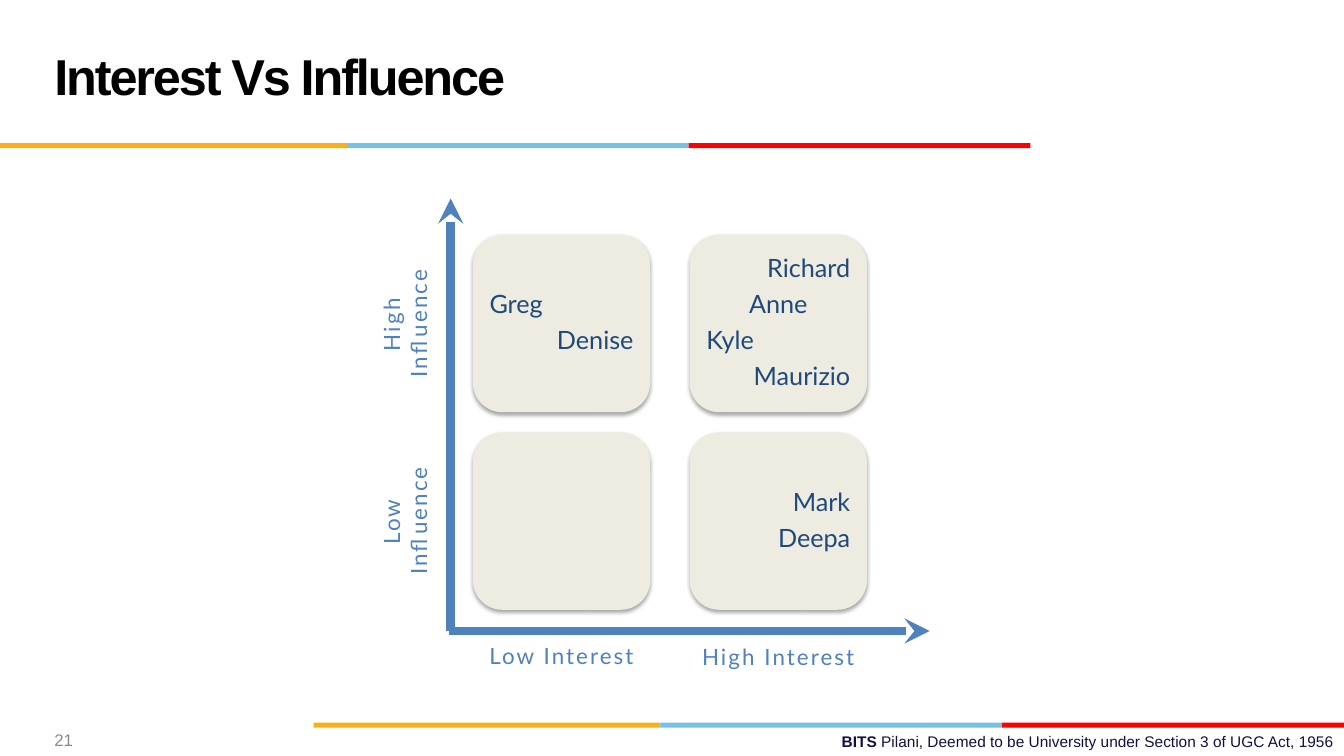
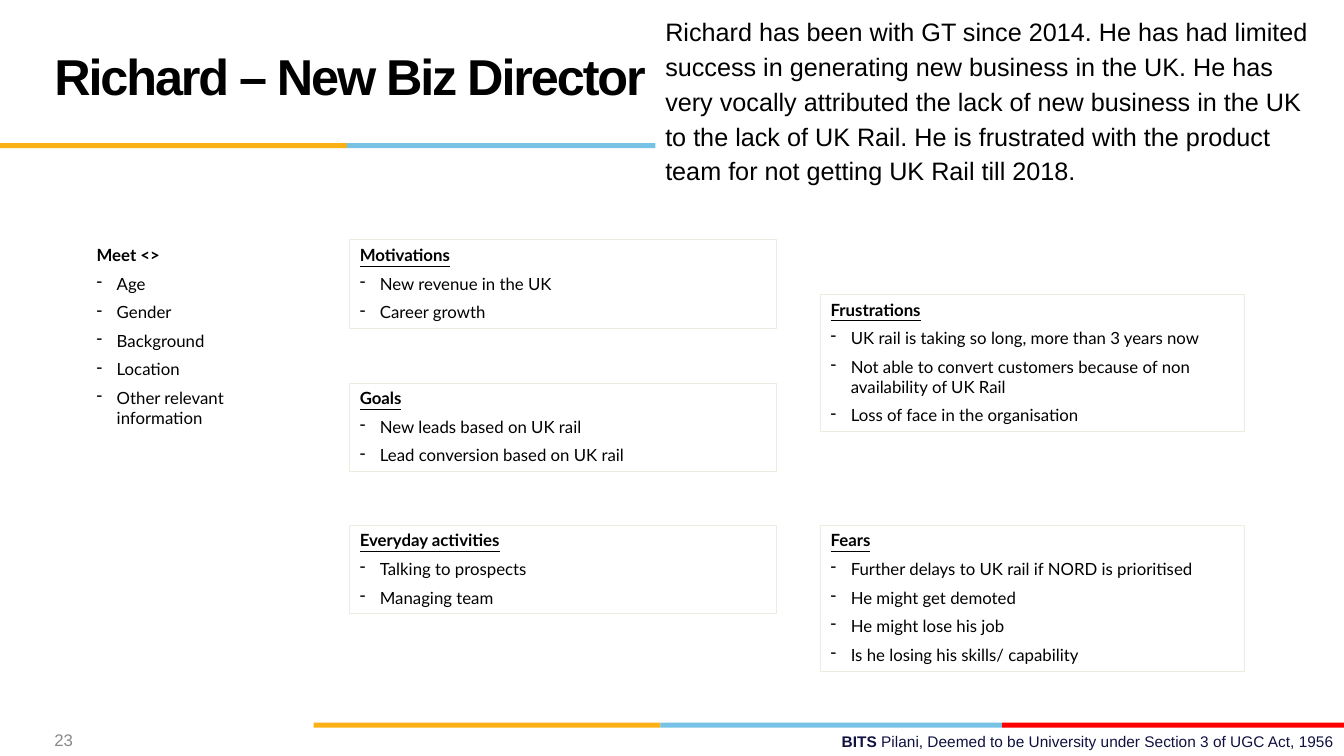
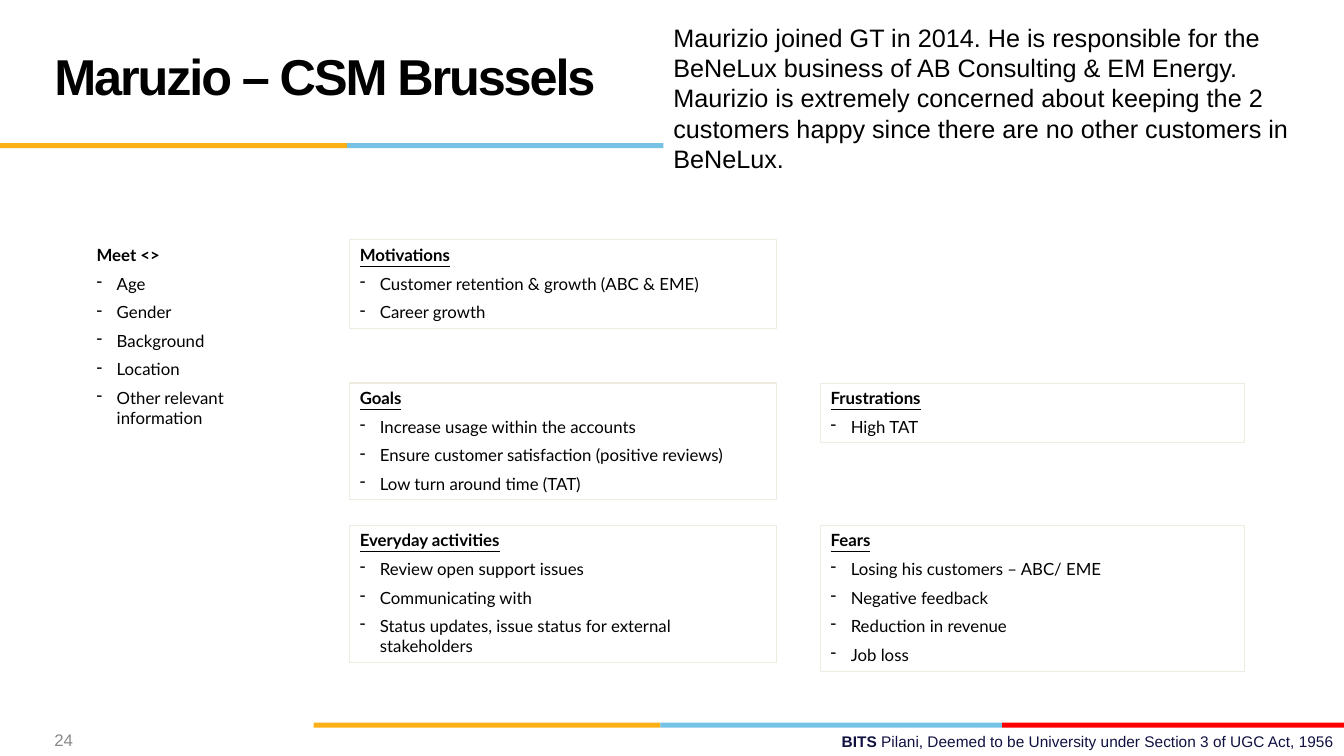
from lxml.etree import SubElement
from pptx import Presentation
from pptx.dml.color import RGBColor
from pptx.enum.shapes import MSO_CONNECTOR, MSO_SHAPE
from pptx.enum.text import MSO_ANCHOR, MSO_AUTO_SIZE, PP_ALIGN
from pptx.oxml.ns import qn
from pptx.util import Inches, Pt

rgb = RGBColor.from_string
LEFT, CENTER, RIGHT = PP_ALIGN.LEFT, PP_ALIGN.CENTER, PP_ALIGN.RIGHT
TOP, MIDDLE, BOTTOM = MSO_ANCHOR.TOP, MSO_ANCHOR.MIDDLE, MSO_ANCHOR.BOTTOM
RECT, ROUNDED = MSO_SHAPE.RECTANGLE, MSO_SHAPE.ROUNDED_RECTANGLE

# Shared look
BLACK, WHITE, GREY, NAVY = "000000", "FFFFFF", "898989", "101141"
BEIGE, AXIS_BLUE, NAME_BLUE = "EEECE1", "4F81BD", "1F497D"
BANDS = [(0, 3.44, "FCB017"), (3.44, 3.39, "76C2E5"), (6.83, 3.39, "FF0000")]

# Content
QUADRANTS = [
    (0, 0, [("Greg", LEFT), ("Denise", RIGHT)]),
    (1, 0, [("Richard", RIGHT), ("Anne", CENTER), ("Kyle", LEFT), ("Maurizio", RIGHT)]),
    (0, 1, []),
    (1, 1, [("Mark", RIGHT), ("Deepa", RIGHT)]),
]
AXIS_LABELS = [
    ("Low Interest", 4.69, 6.28, 1.76, 0, MIDDLE),
    ("High Interest", 6.84, 6.29, 1.76, 0, MIDDLE),
    ("Low Influence", 3.33, 4.95, 1.62, 270, BOTTOM),
    ("High Influence", 3.26, 2.99, 1.76, 270, BOTTOM),
]
MEET = ["Age", "Gender", "Background", "Location", "Other relevant information"]
COLUMNS = [(3.47, 4.23), (8.14, 4.2)]
# Each card: heading, column, top, height, items
RICHARD_CARDS = [
    ("Motivations", 0, 2.38, 0.88, ["New revenue in the UK", "Career growth"]),
    ("Goals", 0, 3.8, 0.88,
     ["New leads based on UK rail", "Lead conversion based on UK rail"]),
    ("Everyday activities", 0, 5.21, 0.88, ["Talking to prospects", "Managing team"]),
    ("Frustrations", 1, 2.92, 1.36,
     ["UK rail is taking so long, more than 3 years now",
      "Not able to convert customers because of non availability of UK Rail",
      "Loss of face in the organisation"]),
    ("Fears", 1, 5.21, 1.45,
     ["Further delays to UK rail if NORD is prioritised", "He might get demoted",
      "He might lose his job", "Is he losing his skills/ capability"]),
]
MAURIZIO_CARDS = [
    ("Motivations", 0, 2.38, 0.88,
     ["Customer retention & growth (ABC & EME)", "Career growth"]),
    ("Goals", 0, 3.8, 1.16,
     ["Increase usage within the accounts",
      "Ensure customer satisfaction (positive reviews)", "Low turn around time (TAT)"]),
    ("Everyday activities", 0, 5.21, 1.36,
     ["Review open support issues", "Communicating with",
      "Status updates, issue status for external stakeholders"]),
    ("Frustrations", 1, 3.8, 0.59, ["High TAT"]),
    ("Fears", 1, 5.21, 1.45,
     ["Losing his customers – ABC/ EME", "Negative feedback",
      "Reduction in revenue", "Job loss"]),
]
RICHARD_INTRO = (
    "Richard has been with GT since 2014. He has had limited success in generating new "
    "business in the UK. He has very vocally attributed the lack of new business in the UK "
    "to the lack of UK Rail. He is frustrated with the product team for not getting UK Rail "
    "till 2018.")
MAURIZIO_INTRO = (
    "Maurizio joined GT in 2014. He is responsible for the BeNeLux business of AB Consulting "
    "& EM Energy. Maurizio is extremely concerned about keeping the 2 customers happy since "
    "there are no other customers in BeNeLux.")
# Each persona: intro place, intro line spacing, intro, cards
PERSONAS = [
    ((6.5, 0.07, 6.67, 1.81), 1.15, RICHARD_INTRO, RICHARD_CARDS),
    ((6.58, 0.17, 6.67, 1.62), 1.0, MAURIZIO_INTRO, MAURIZIO_CARDS),
]


def add_box(page, place, kind=None, fill=None, line=None, anchor=TOP, grow=False):
    place = [Inches(length) for length in place]
    if kind is None:
        box = page.shapes.add_textbox(*place)
    else:
        box = page.shapes.add_shape(kind, *place)
        box.shadow.inherit = False
    if fill:
        box.fill.solid()
        box.fill.fore_color.rgb = rgb(fill)
    else:
        box.fill.background()
    if line:
        box.line.color.rgb = rgb(line)
        box.line.width = Pt(0.75)
    else:
        box.line.fill.background()
    frame = box.text_frame
    frame.word_wrap = True
    frame.vertical_anchor = anchor
    frame.auto_size = MSO_AUTO_SIZE.SHAPE_TO_FIT_TEXT if grow else MSO_AUTO_SIZE.NONE
    return box


def add_para(box, spans, size, color, font="Arial", align=LEFT, tracking=0, bullet=False):
    """Add a paragraph; each span is (text, bold, underline)."""
    frame = box.text_frame
    para = frame.paragraphs[0]
    if para.runs:
        para = frame.add_paragraph()
    para.alignment = align
    if bullet:
        props = para._p.get_or_add_pPr()
        props.set("marL", str(Inches(0.2)))
        props.set("indent", str(-Inches(0.2)))
        SubElement(props, qn("a:buChar"), char="-")
    for text, bold, underline in spans:
        span = para.add_run()
        span.text = text
        span.font.name = font
        span.font.size = Pt(size)
        span.font.color.rgb = rgb(color)
        span.font.bold = bold
        span.font.underline = underline
        if tracking:
            span.font._element.set("spc", str(int(tracking * 100)))
    return para


deck = Presentation()
deck.slide_width, deck.slide_height = Inches(13.33), Inches(7.5)

# Title, bands and footer of every slide
pages = []
for title, number, title_bands in [
    ("Interest Vs Influence", "21", BANDS),
    ("Richard – New Biz Director", "23", BANDS[:2]),
    ("Maruzio – CSM Brussels", "24", BANDS[:2]),
]:
    page = deck.slides.add_slide(deck.slide_layouts[6])
    pages.append(page)
    for start, top, bands in [(0, 1.42, title_bands), (3.11, 7.17, BANDS)]:
        for left, width, color in bands:
            add_box(page, (start + left, top, width, 0.05), RECT, color)
    footer = add_box(page, (4.78, 7.21, 8.55, 0.29), grow=True)
    add_para(footer, [
        ("BITS ", True, False),
        ("Pilani, Deemed to be University under Section 3 of UGC Act, 1956", False, False),
    ], 11, NAVY, align=RIGHT)
    box = add_box(page, (0.44, 0.17, 9.22, 1.25), anchor=MIDDLE)
    para = add_para(box, [(title, True, False)], 36, BLACK, tracking=-1.5)
    para.line_spacing = Pt(36)
    box = add_box(page, (0.44, 7.17, 0.97, 0.33), anchor=MIDDLE)
    add_para(box, [(number, False, False)], 12, GREY)

# Interest and influence matrix
matrix_page = pages[0]
for column, row, people in QUADRANTS:
    place = (4.69 + column * 2.15, 2.33 + row * 1.96, 1.76, 1.76)
    quadrant = add_box(matrix_page, place, ROUNDED, BEIGE, anchor=MIDDLE)
    effects = quadrant._element.spPr.find(qn("a:effectLst"))
    shadow = SubElement(effects, qn("a:outerShdw"), blurRad=str(Pt(3.1)), dist=str(Pt(1.8)),
                        dir="5400000", rotWithShape="0")
    shade = SubElement(shadow, qn("a:srgbClr"), val=BLACK)
    SubElement(shade, qn("a:alpha"), val="35000")
    frame = quadrant.text_frame
    frame.margin_left = frame.margin_right = Inches(0.08)
    frame.margin_top = frame.margin_bottom = Inches(0.08)
    for name, align in people:
        para = add_para(quadrant, [(name, False, False)], 18, NAME_BLUE, "Lato", align)
        para.line_spacing = 0.9
        para.space_after = Pt(6.3)

for text, left, top, width, angle, anchor in AXIS_LABELS:
    label = add_box(matrix_page, (left, top, width, 0.44), anchor=anchor)
    label.rotation = angle
    label.text_frame.margin_top = label.text_frame.margin_bottom = Inches(0.08)
    add_para(label, [(text, False, False)], 16, AXIS_BLUE, "Lato", CENTER, tracking=1.5)

for ends in [(4.45, 6.26, 9.22, 6.26), (4.47, 6.26, 4.47, 1.97)]:
    axis = matrix_page.shapes.add_connector(
        MSO_CONNECTOR.STRAIGHT, *[Inches(length) for length in ends])
    axis.line.color.rgb = rgb(AXIS_BLUE)
    axis.line.width = Pt(6)
    outline = axis._element.spPr
    SubElement(outline.find(qn("a:ln")), qn("a:tailEnd"), type="stealth")
    SubElement(outline, qn("a:effectLst"))

# Persona pages
for page, (intro_place, spacing, intro, cards) in zip(pages[1:], PERSONAS):
    lists = [(add_box(page, (0.86, 2.38, 2.14, 1.94), grow=True), "Meet <>", False, MEET)]
    for heading, column, top, height, items in cards:
        left, width = COLUMNS[column]
        card = add_box(page, (left, top, width, height), RECT, line=BEIGE, grow=True)
        lists.append((card, heading, True, items))
    for box, heading, underline, items in lists:
        para = add_para(box, [(heading, True, underline)], 12, BLACK, "Lato")
        para.space_after = Pt(3)
        for item in items:
            para = add_para(box, [(item, False, False)], 12, BLACK, "Lato", bullet=True)
            para.space_before = para.space_after = Pt(3)
    box = add_box(page, intro_place, RECT, WHITE, grow=True)
    para = add_para(box, [(intro, False, False)], 18, BLACK)
    para.line_spacing = spacing

deck.save("out.pptx")
